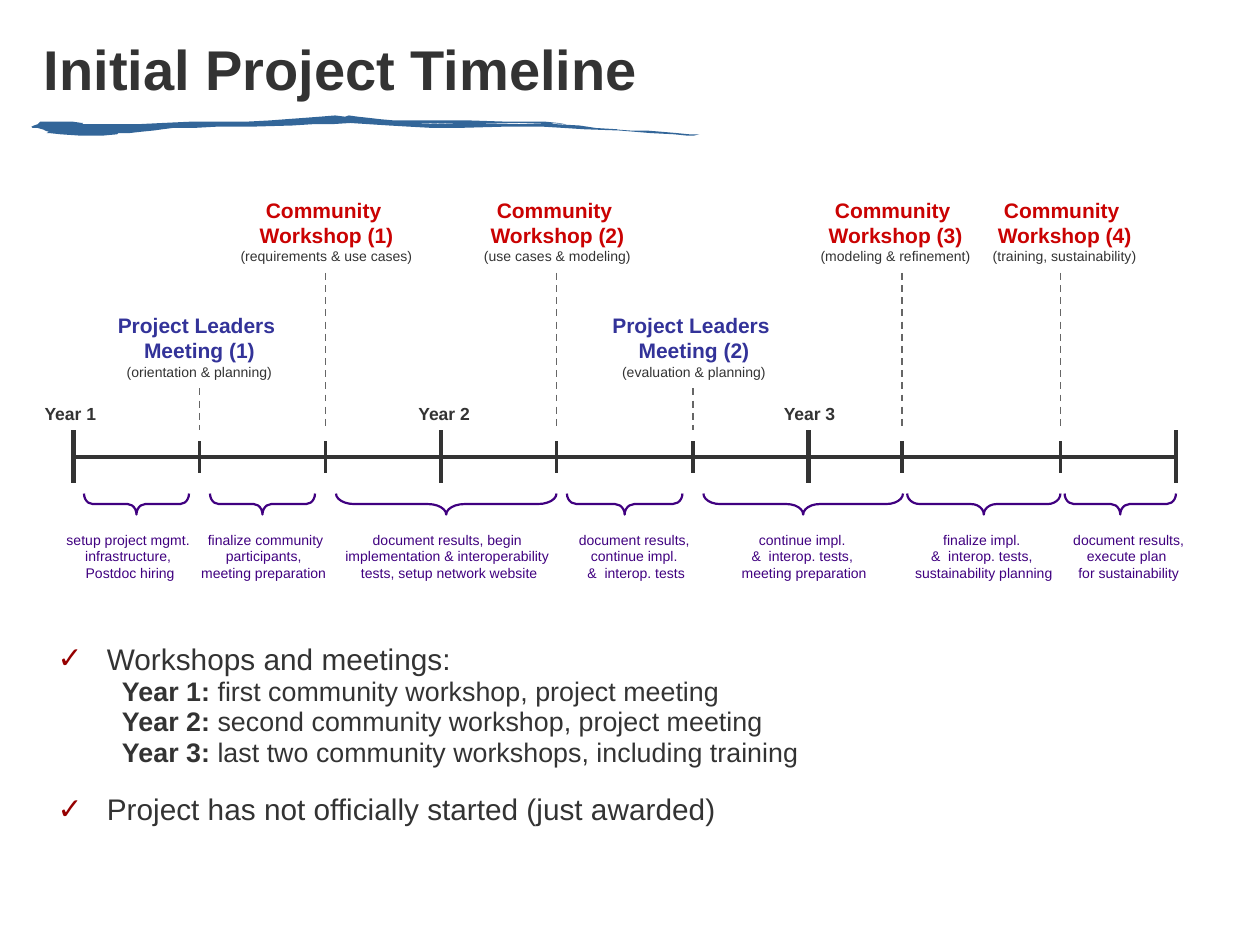
from dataclasses import dataclass

from lxml import etree
from pptx import Presentation
from pptx.dml.color import RGBColor
from pptx.enum.dml import MSO_LINE
from pptx.enum.shapes import MSO_CONNECTOR, MSO_SHAPE
from pptx.enum.text import MSO_ANCHOR, PP_ALIGN
from pptx.oxml.ns import qn
from pptx.util import Inches, Pt

DASH = MSO_LINE.DASH
STRAIGHT = MSO_CONNECTOR.STRAIGHT
LEFT_BRACE = MSO_SHAPE.LEFT_BRACE
TOP, MIDDLE = MSO_ANCHOR.TOP, MSO_ANCHOR.MIDDLE
LEFT, CENTER = PP_ALIGN.LEFT, PP_ALIGN.CENTER
CELLS_PER_INCH = 12


@dataclass(frozen=True)
class Theme:
    font: str = "Arial"
    ink: str = "333333"
    brush: str = "336699"
    meeting: str = "333399"
    workshop: str = "CA0202"
    task: str = "400080"
    guide: str = "666666"
    check: str = "960000"
    title_size: float = 32
    point_size: float = 17
    detail_size: float = 15.3
    heading_size: float = 12
    year_size: float = 10
    small_size: float = 8


@dataclass(frozen=True)
class Box:
    left: float
    top: float
    width: float
    height: float

    def inner(self, column, row, width, height):
        return Box(self.left + column, self.top + row, width, height)

    def lengths(self):
        return [cells(n) for n in (self.left, self.top, self.width, self.height)]


THEME = Theme()
YEARS = [("Year 1", -0.3), ("Year 2", 35.3), ("Year 3", 70.1)]
YEAR_COLUMNS = [0, 35, 70, 105]
MEETINGS = [
    (12, 12, 18, ["Project Leaders ", "Meeting (1)"], "(orientation & planning)"),
    (59, 59.1, 18, ["Project Leaders ", "Meeting (2)"], "(evaluation & planning)"),
]
WORKSHOPS = [
    (24, 24.1, 20, ["Community ", "Workshop (1)"], "(requirements & use cases)"),
    (46, 46.1, 17, ["Community ", "Workshop (2)"], "(use cases & modeling)"),
    (78.9, 78.3, 17, ["Community ", "Workshop (3)"], "(modeling & refinement)"),
    (94, 94.4, 17, ["Community ", "Workshop (4)"], "(training, sustainability)"),
]
TASKS = [
    (1, 11, 5.4, 15, ["setup project mgmt. ", "infrastructure, ", "Postdoc hiring"]),
    (13, 23, 18.3, 15, ["finalize community", "participants, ", "meeting preparation "]),
    (25, 46, 35.8, 23, ["document results, begin ", "implementation & interoperability ",
                        "tests, setup network website"]),
    (47, 58, 53.6, 14, ["document results, ", "continue impl. ", "&  interop. tests"]),
    (60, 79, 69.6, 15, ["continue impl. ", "&  interop. tests, ", "meeting preparation"]),
    (79.4, 94, 86.7, 16, ["finalize impl. ", "&  interop. tests, ", "sustainability planning"]),
    (94.4, 105, 100.5, 14, ["document results,", "execute plan ", "for sustainability"]),
]
YEAR_NOTES = [
    ("Year 1:", " first community workshop, project meeting"),
    ("Year 2:", " second community workshop, project meeting"),
    ("Year 3:", " last two community workshops, including training"),
]
BRUSH_EDGE = [
    (530, 15), (522, 15), (512, 14), (500, 13), (488, 12), (475, 12), (462, 11), (441, 10),
    (421, 8), (441, 10), (465, 11), (448, 10), (435, 8), (417, 7), (398, 7), (360, 7),
    (333, 7), (303, 6), (317, 6), (345, 7), (387, 6), (415, 7), (412, 6), (383, 6),
    (343, 6), (380, 6), (412, 6), (424, 7), (418, 6), (408, 5), (378, 5), (348, 4),
    (316, 4), (288, 4), (277, 3), (268, 2), (259, 1), (252, 0), (249, 1), (241, 0),
    (229, 1), (216, 2), (202, 3), (189, 4), (170, 5), (144, 5), (126, 5), (104, 6),
    (84, 7), (62, 7), (54, 7), (45, 7), (40, 7), (41, 6), (40, 6), (33, 5), (19, 5),
    (12, 5), (7, 5), (6, 6), (5, 7), (2, 8), (0, 9), (1, 10), (5, 10), (12, 12),
    (10, 12), (14, 13), (12, 14), (14, 14), (23, 15), (38, 16), (57, 16), (68, 15),
    (69, 14), (78, 14), (87, 13), (97, 12), (104, 11), (112, 10), (128, 10), (146, 9),
    (172, 9), (207, 8), (223, 7), (238, 7), (253, 6), (268, 7), (284, 8), (301, 9),
    (319, 10), (337, 10), (373, 9), (407, 9), (423, 10), (439, 11), (467, 12),
    (491, 14), (510, 15), (520, 16), (526, 16),
]


def cells(count):
    return Inches(count / CELLS_PER_INCH)


def color(code):
    return RGBColor.from_string(code)


def add_text(page, box, paragraphs, align=CENTER, anchor=TOP, wrap=False):
    frame = page.shapes.add_textbox(*box.lengths()).text_frame
    frame.word_wrap = wrap
    frame.vertical_anchor = anchor
    for index, runs in enumerate(paragraphs):
        para = frame.add_paragraph() if index else frame.paragraphs[0]
        para.alignment = align
        for text, size, tint, bold in runs:
            span = para.add_run()
            span.text = text
            span.font.name = THEME.font
            span.font.size = Pt(size)
            span.font.bold = bold
            span.font.color.rgb = color(tint)
    return frame


def add_line(page, box, start, end, tint, weight, dash=None):
    points = [cells(n) for column, row in (start, end)
              for n in (box.left + column, box.top + row)]
    line = page.shapes.add_connector(STRAIGHT, *points)
    line.line.color.rgb = color(tint)
    line.line.width = Pt(weight)
    if dash:
        line.line.dash_style = dash
    etree.SubElement(line._element.spPr, qn("a:effectLst"))


def add_brace(page, box, start, end):
    length, depth = end - start, 2
    upright = box.inner((start + end - depth) / 2, 30 - length / 2, depth, length)
    brace = page.shapes.add_shape(LEFT_BRACE, *upright.lengths())
    brace.rotation = 270
    brace.adjustments[0] = length / 12 / depth
    brace.fill.background()
    brace.line.color.rgb = color(THEME.task)
    brace.line.width = Pt(1.25)
    brace.shadow.inherit = False


def draw_header(page, box):
    title = [("Initial Project Timeline", THEME.title_size, THEME.ink, True)]
    add_text(page, box, [title], LEFT, MIDDLE, True)
    builder = page.shapes.build_freeform(*BRUSH_EDGE[0], scale=Inches(0.01))
    builder.add_line_segments(BRUSH_EDGE[1:], close=True)
    brush = builder.convert_to_shape(cells(box.left), cells(box.top + box.height))
    brush.fill.solid()
    brush.fill.fore_color.rgb = color(THEME.brush)
    brush.line.fill.background()
    brush.shadow.inherit = False


def draw_events(page, box, events, row, tint):
    for column, center, width, heading, detail in events:
        lines = [[(text, THEME.heading_size, tint, True)] for text in heading]
        lines.append([(detail, THEME.small_size, THEME.ink, False)])
        add_text(page, box.inner(center - width / 2, row, width, 7.7), lines)
        add_line(page, box, (column, row + 7.8), (column, 23), THEME.guide, 1, DASH)
        add_line(page, box, (column, 24), (column, 27), THEME.ink, 2)


def draw_timeline(page, box):
    add_line(page, box, (0, 25.5), (box.width, 25.5), THEME.ink, 2.5)
    for column in YEAR_COLUMNS:
        add_line(page, box, (column, 23), (column, 28), THEME.ink, 2.5)
    for label, center in YEARS:
        add_text(page, box.inner(center - 3.7, 19.8, 7.4, 3.2),
                 [[(label, THEME.year_size, THEME.ink, True)]])
    draw_events(page, box, MEETINGS, 11.2, THEME.meeting)
    draw_events(page, box, WORKSHOPS, 0.2, THEME.workshop)
    for start, end, center, width, task in TASKS:
        add_brace(page, box, start, end)
        lines = [[(text, THEME.small_size, THEME.task, False)] for text in task]
        add_text(page, box.inner(center - width / 2, 32, width, 6), lines)


def style_note(para, margin, indent, before, check):
    para.line_spacing = 0.82
    para.space_before = Pt(before)
    props = para._p.get_or_add_pPr()
    props.set("marL", str(Inches(margin)))
    props.set("indent", str(Inches(indent)))
    if check:
        tint = etree.SubElement(props, qn("a:buClr"))
        etree.SubElement(tint, qn("a:srgbClr"), val=THEME.check)
        etree.SubElement(props, qn("a:buFont"), typeface=THEME.font)
        etree.SubElement(props, qn("a:buChar"), char="✓")
    else:
        etree.SubElement(props, qn("a:buNone"))


def draw_notes(page, box):
    points = [[(text, THEME.point_size, THEME.ink, False)] for text in
              ("Workshops and meetings:", "Project has not officially started (just awarded)")]
    details = [[(year, THEME.detail_size, THEME.ink, True),
                (text, THEME.detail_size, THEME.ink, False)] for year, text in YEAR_NOTES]
    frame = add_text(page, box, [points[0], *details, points[1]], LEFT, TOP, True)
    first, *middle, last = frame.paragraphs
    style_note(first, 0.5, -0.39, 0, True)
    for para in middle:
        style_note(para, 0.62, 0, 2.4, False)
    style_note(last, 0.5, -0.39, 17, True)


def main():
    deck = Presentation()
    deck.slide_width, deck.slide_height = Inches(10), Inches(7.5)
    page = deck.slides.add_slide(deck.slide_layouts[6])
    draw_header(page, Box(3, 2, 114, 9))
    draw_timeline(page, Box(7, 18, 105, 38))
    draw_notes(page, Box(3, 61, 114, 20))
    deck.save("out.pptx")


if __name__ == "__main__":
    main()
